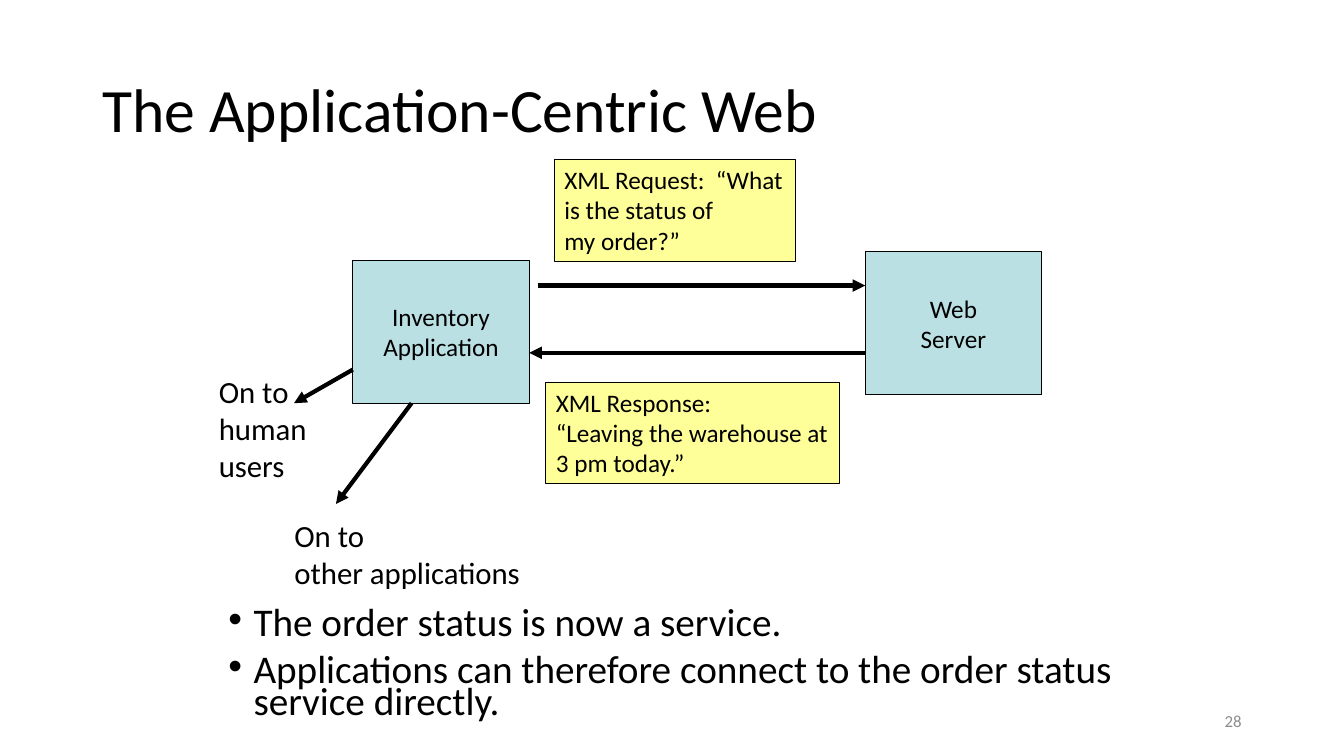
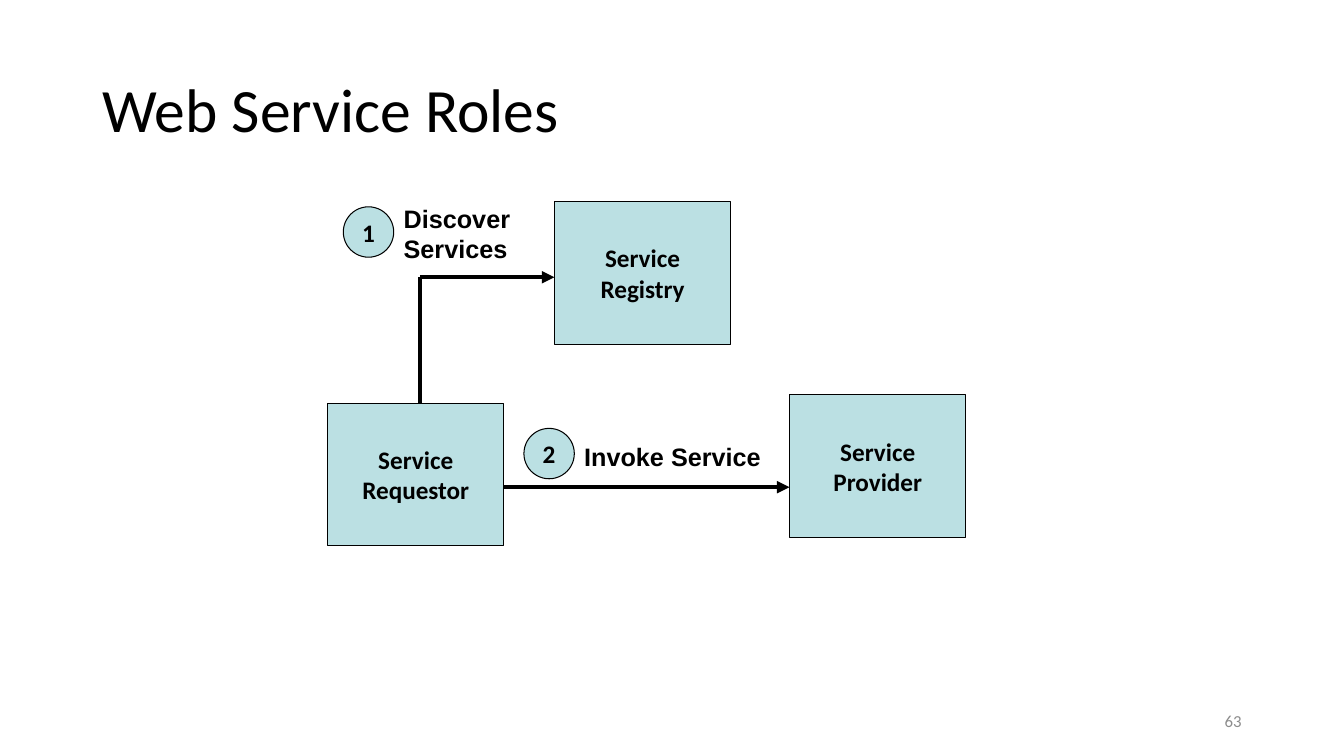
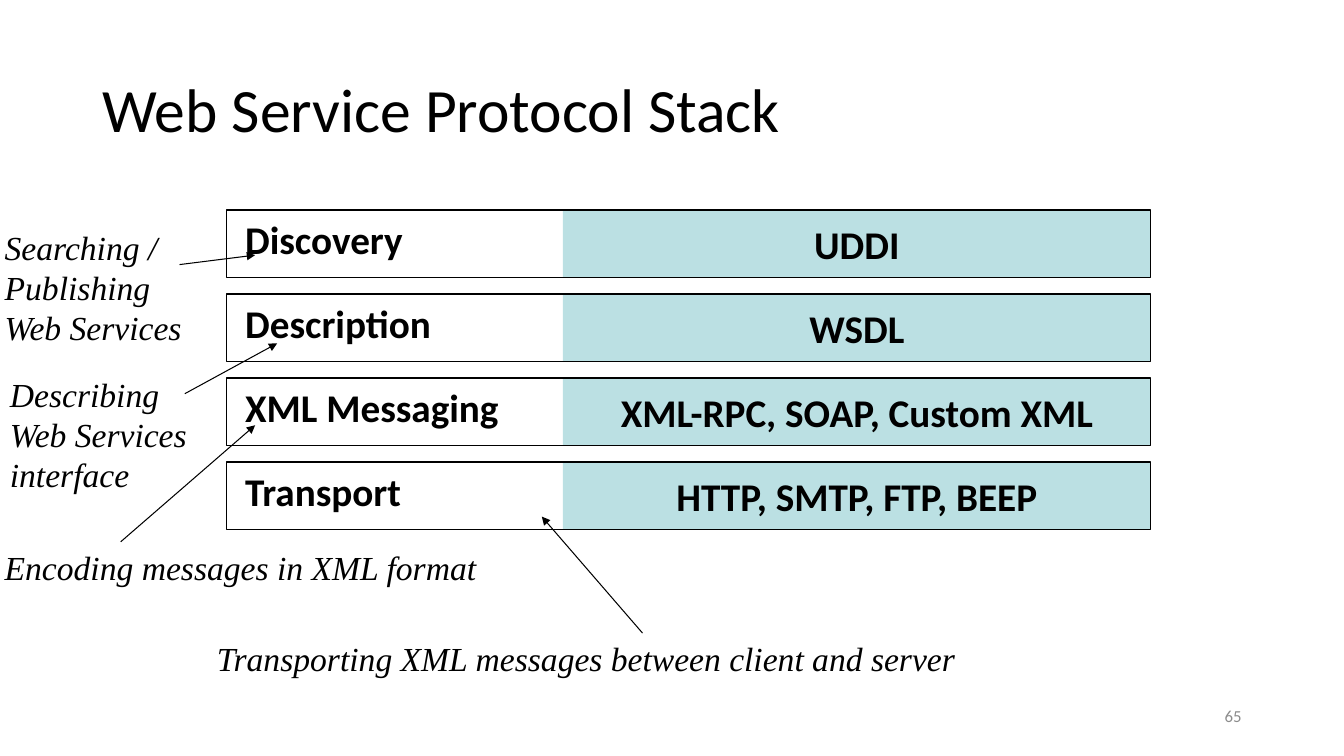
from lxml.etree import SubElement
from pptx import Presentation
from pptx.dml.color import RGBColor
from pptx.enum.shapes import MSO_CONNECTOR, MSO_SHAPE
from pptx.enum.text import MSO_ANCHOR, PP_ALIGN
from pptx.oxml.ns import qn
from pptx.util import Pt

PX = 9525  # EMU per px, 96 px to the inch
COLORS = {"ink": "000000", "box": "BBE0E3", "note": "FFFF99", "number": "8C8C8C"}
RECT, OVAL = MSO_SHAPE.RECTANGLE, MSO_SHAPE.OVAL
LEFT, CENTER, RIGHT = PP_ALIGN.LEFT, PP_ALIGN.CENTER, PP_ALIGN.RIGHT
TOP, MIDDLE = MSO_ANCHOR.TOP, MSO_ANCHOR.MIDDLE


def add_block(slide, box, lines=(), size=18, kind=None, fill=None, outline=True,
              align=LEFT, anchor=TOP, wrap=False, font="Calibri", bold=False,
              italic=False, color="ink", spacing=None):
    """Add a text box, or a preset shape if kind is given, with one paragraph a line."""
    place = [v * PX for v in box]
    if kind is None:
        block = slide.shapes.add_textbox(*place)
    else:
        block = slide.shapes.add_shape(kind, *place)
        block.shadow.inherit = False
        if fill:
            block.fill.solid()
            block.fill.fore_color.rgb = RGBColor.from_string(COLORS[fill])
        else:
            block.fill.background()
        if outline:
            block.line.color.rgb = RGBColor.from_string(COLORS["ink"])
            block.line.width = Pt(0.75)
        else:
            block.line.fill.background()
    frame = block.text_frame
    frame.word_wrap = wrap
    frame.vertical_anchor = anchor
    for i, line in enumerate(lines):
        para = frame.add_paragraph() if i else frame.paragraphs[0]
        para.alignment = align
        if spacing:
            para.line_spacing = spacing
        run = para.add_run()
        run.text = line
        run.font.name = font
        run.font.size = Pt(size)
        run.font.bold = bold
        run.font.italic = italic
        run.font.color.rgb = RGBColor.from_string(COLORS[color])
    return block


def add_line(slide, ends, width=3, arrow=True):
    line = slide.shapes.add_connector(MSO_CONNECTOR.STRAIGHT, *[v * PX for v in ends])
    line.line.color.rgb = RGBColor.from_string(COLORS["ink"])
    line.line.width = Pt(width)
    if arrow:
        SubElement(line.line._get_or_add_ln(), qn("a:tailEnd"), type="triangle")
    SubElement(line._element.spPr, qn("a:effectLst"))


deck = Presentation()
deck.slide_width, deck.slide_height = 1280 * PX, 720 * PX

# Shared title and slide number
slides = []
for title, number, number_top in [
    ("The Application-Centric Web", "28", 667),
    ("Web Service Roles", "63", 667),
    ("Web Service Protocol Stack", "65", 663),
]:
    slide = deck.slides.add_slide(deck.slide_layouts[6])
    add_block(slide, (88, 38, 1104, 139), [title], 44, anchor=MIDDLE, wrap=True, spacing=0.9)
    add_block(slide, (904, number_top, 288, 38), [number], 12, align=RIGHT, anchor=MIDDLE,
              wrap=True, color="number")
    slides.append(slide)
centric, roles, stack = slides

# Application-centric web: the two systems
for left, top, lines in [
    (336, 248, ["Inventory", "Application"]),
    (824, 240, ["Web", "Server"]),
]:
    add_block(centric, (left, top, 168, 136), lines, kind=RECT, fill="box",
              align=CENTER, anchor=MIDDLE)

# Messages and onward paths
add_block(centric, (528, 152, 230, 97),
          ["XML Request:  “What", "is the status of", "my order?”"], kind=RECT, fill="note")
add_block(centric, (520, 364, 280, 97),
          ["XML Response:", "“Leaving the warehouse at 3 pm today.”"],
          kind=RECT, fill="note", wrap=True)
for ends in [(512, 272, 824, 272), (824, 336, 504, 336),
             (336, 352, 280, 384), (392, 384, 320, 480)]:
    add_line(centric, ends)
add_block(centric, (271, 487, 236, 81), ["On to", "other applications"], 22)
add_block(centric, (199, 350, 104, 116), ["On to", "human", "users"], 22)

# Conclusions
conclusions = add_block(
    centric, (208, 576, 880, 128),
    ["The order status is now a service.",
     "Applications can therefore connect to the order status service directly."],
    28, wrap=True, spacing=0.7)
for para in conclusions.text_frame.paragraphs:
    para.space_before = Pt(10)
    props = para._p.get_or_add_pPr()
    props.set("marL", str(24 * PX))
    props.set("indent", str(-24 * PX))
    SubElement(props, qn("a:buFont"), typeface="Arial")
    SubElement(props, qn("a:buChar"), char="•")

# Web service roles
for left, top, role in [(528, 192, "Registry"), (312, 384, "Requestor"), (752, 376, "Provider")]:
    add_block(roles, (left, top, 168, 136), ["Service", role], kind=RECT, fill="box",
              align=CENTER, anchor=MIDDLE, bold=True)

# Numbered steps
for step, left, top, label_box, lines in [
    ("1", 327, 197, (375, 189, 121, 67), ["Discover", "Services"]),
    ("2", 499, 408, (547, 416, 187, 38), ["Invoke Service"]),
]:
    add_block(roles, label_box, lines, font="Arial", bold=True)
    add_block(roles, (left, top, 48, 48), [step], kind=OVAL, fill="box",
              align=CENTER, anchor=MIDDLE, bold=True)
add_line(roles, (400, 384, 400, 264), arrow=False)
add_line(roles, (400, 264, 528, 264))
add_line(roles, (480, 464, 752, 464))

# Protocol stack: one row per layer
for i, (layer, protocols) in enumerate([
    ("Discovery", "UDDI"),
    ("Description", "WSDL"),
    ("XML Messaging", "XML-RPC, SOAP, Custom XML"),
    ("Transport", "HTTP, SMTP, FTP, BEEP"),
]):
    top = 200 + 80 * i
    label_width = (171, 199, 263, 170)[i]
    add_block(stack, (536, top, 560, 64), [protocols], 28, kind=RECT, fill="box",
              outline=False, align=CENTER, anchor=MIDDLE, bold=True)
    add_block(stack, (224, top, label_width, 55), [layer], 28, bold=True)
    add_block(stack, (216, top, 880, 64), kind=RECT)
add_line(stack, (472, 264, 224, 264), 0.75, arrow=False)

# Explanations, each with its arrow
for box, text, wrap, ends in [
    ((-5, 211, 202, 126), "Searching / Publishing Web Services", True, (171, 252, 243, 243)),
    ((0, 351, 209, 126), "Describing Web Services interface", True, (176, 375, 264, 327)),
    ((-5, 516, 476, 48), "Encoding messages in XML format", False, (115, 516, 243, 405)),
    ((197, 603, 726, 48), "Transporting XML messages between client and server", False,
     (612, 603, 516, 492)),
]:
    add_block(stack, box, [text], 24, wrap=wrap, font="Times New Roman", italic=True)
    add_line(stack, ends, 0.75)

deck.save("out.pptx")
